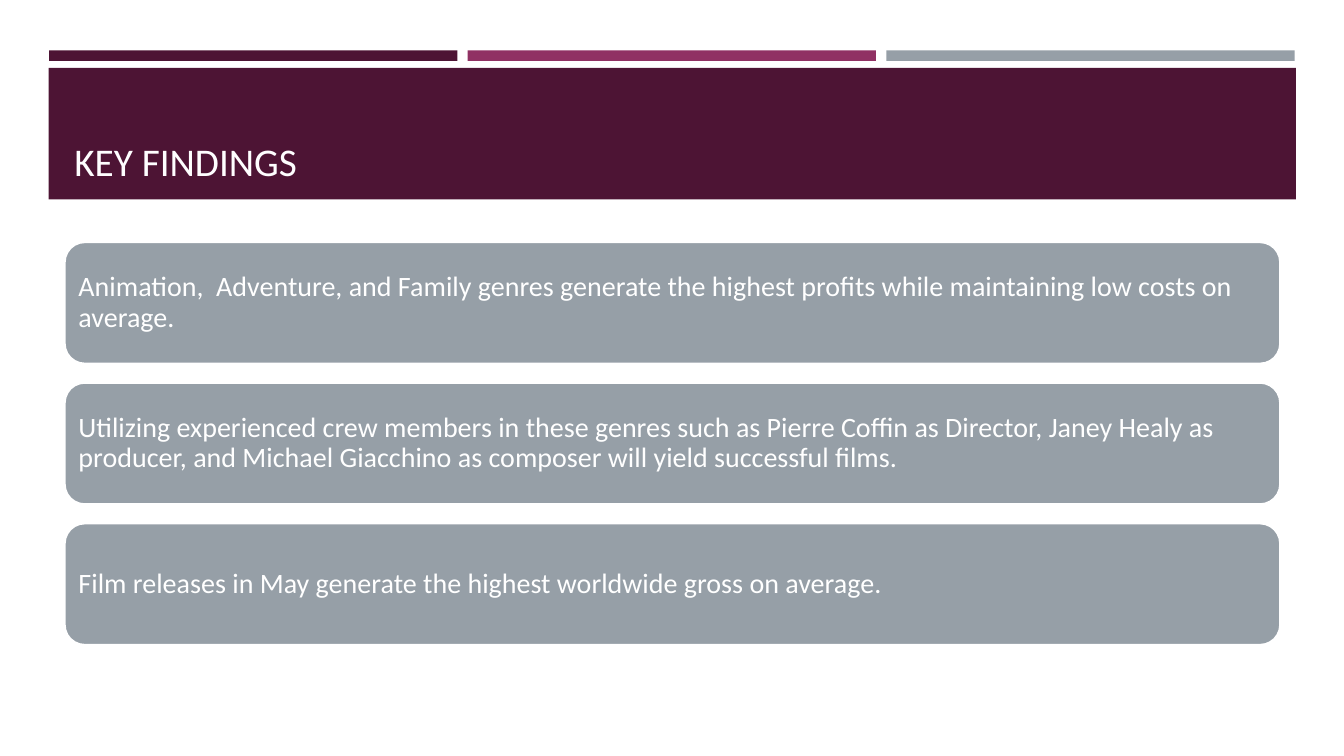
import dataclasses

import pptx
import pptx.dml.color
import pptx.enum.shapes
import pptx.enum.text
import pptx.util

SHAPES = pptx.enum.shapes.MSO_SHAPE
ANCHORS = pptx.enum.text.MSO_ANCHOR


@dataclasses.dataclass(frozen=True)
class Theme:
    font: str = "Calibri"
    plum: str = "4D1434"
    magenta: str = "903163"
    grey: str = "969FA7"
    white: str = "FFFFFF"
    title_text: str = "FFFEFF"
    title_size: int = 28
    body_size: int = 20
    outline: float = 1.75


class SlideBuilder:
    """Boxes are (left, top, width, height) in percent of the slide's size."""

    def __init__(self, presentation, theme):
        self.width = presentation.slide_width
        self.height = presentation.slide_height
        self.theme = theme
        self.slide = presentation.slides.add_slide(presentation.slide_layouts[6])

    def place(self, box):
        left, top, width, height = box
        return [
            round(share * side / 100)
            for share, side in (
                (left, self.width),
                (top, self.height),
                (width, self.width),
                (height, self.height),
            )
        ]

    def block(self, box, color, kind=SHAPES.RECTANGLE):
        shape = self.slide.shapes.add_shape(kind, *self.place(box))
        shape.shadow.inherit = False
        shape.fill.solid()
        shape.fill.fore_color.rgb = pptx.dml.color.RGBColor.from_string(color)
        shape.line.fill.background()
        return shape

    def set_text(self, shape, text, size, color, frame_format, paragraph_format):
        frame = shape.text_frame
        paragraph = frame.paragraphs[0]
        run = paragraph.add_run()
        run.text = text
        run.font.color.rgb = pptx.dml.color.RGBColor.from_string(color)
        formats = (
            (frame, {"word_wrap": True, **frame_format}),
            (paragraph, {"alignment": pptx.enum.text.PP_ALIGN.LEFT, **paragraph_format}),
            (run.font, {"name": self.theme.font, "size": pptx.util.Pt(size)}),
        )
        for target, values in formats:
            for name, value in values.items():
                setattr(target, name, value)

    def title(self, box, text):
        shape = self.slide.shapes.add_textbox(*self.place(box))
        self.set_text(
            shape, text, self.theme.title_size, self.theme.title_text,
            {"vertical_anchor": ANCHORS.BOTTOM}, {},
        )

    def card(self, box, text):
        shape = self.block(box, self.theme.grey, SHAPES.ROUNDED_RECTANGLE)
        shape.line.color.rgb = pptx.dml.color.RGBColor.from_string(self.theme.white)
        shape.line.width = pptx.util.Pt(self.theme.outline)
        margins = dict.fromkeys(
            ("margin_left", "margin_top", "margin_right", "margin_bottom"),
            pptx.util.Inches(0.08),
        )
        self.set_text(
            shape, text, self.theme.body_size, self.theme.white,
            {"vertical_anchor": ANCHORS.MIDDLE, **margins},
            {"line_spacing": 0.9, "space_after": pptx.util.Pt(7)},
        )


def main():
    presentation = pptx.Presentation()
    presentation.slide_width = pptx.util.Inches(13.33)
    presentation.slide_height = pptx.util.Inches(7.5)
    theme = Theme()
    builder = SlideBuilder(presentation, theme)

    for column, color in enumerate((theme.plum, theme.magenta, theme.grey)):
        builder.block((3.65 + 31.15 * column, 6.67, 30.38, 1.4), color)
    builder.block((3.62, 8.97, 92.8, 17.4), theme.plum)
    builder.title((4.8, 10.27, 90.47, 14.8), "KEY FINDINGS")

    findings = (
        "Animation,  Adventure, and Family genres generate the highest profits "
        "while maintaining low costs on average.",
        "Utilizing experienced crew members in these genres such as Pierre Coffin "
        "as Director, Janey Healy as producer, and Michael Giacchino as composer "
        "will yield successful films.",
        "Film releases in May generate the highest worldwide gross on average.",
    )
    for row, finding in enumerate(findings):
        builder.card((4.8, 32 + 18.6 * row, 90.47, 16.13), finding)

    presentation.save("out.pptx")


if __name__ == "__main__":
    main()
